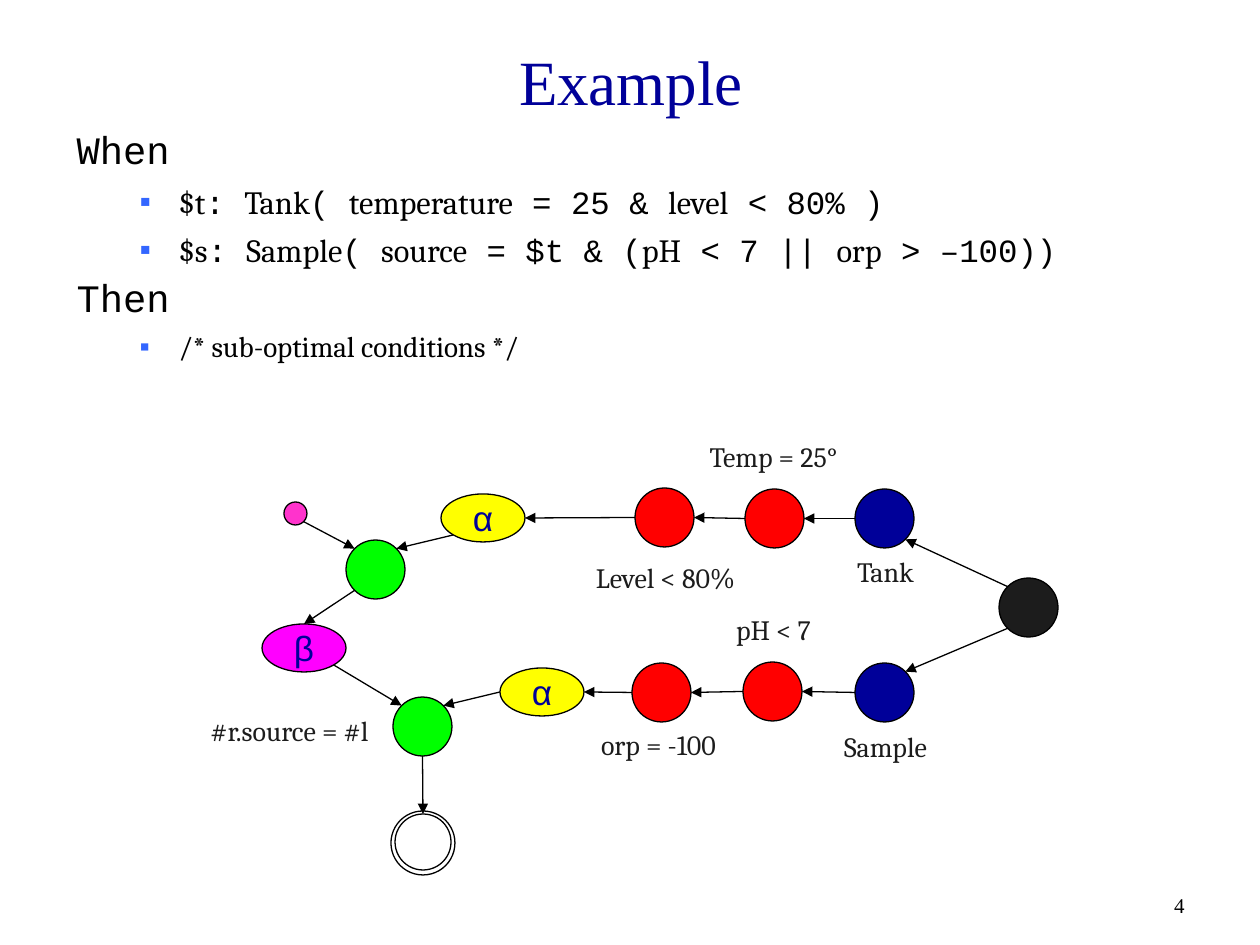
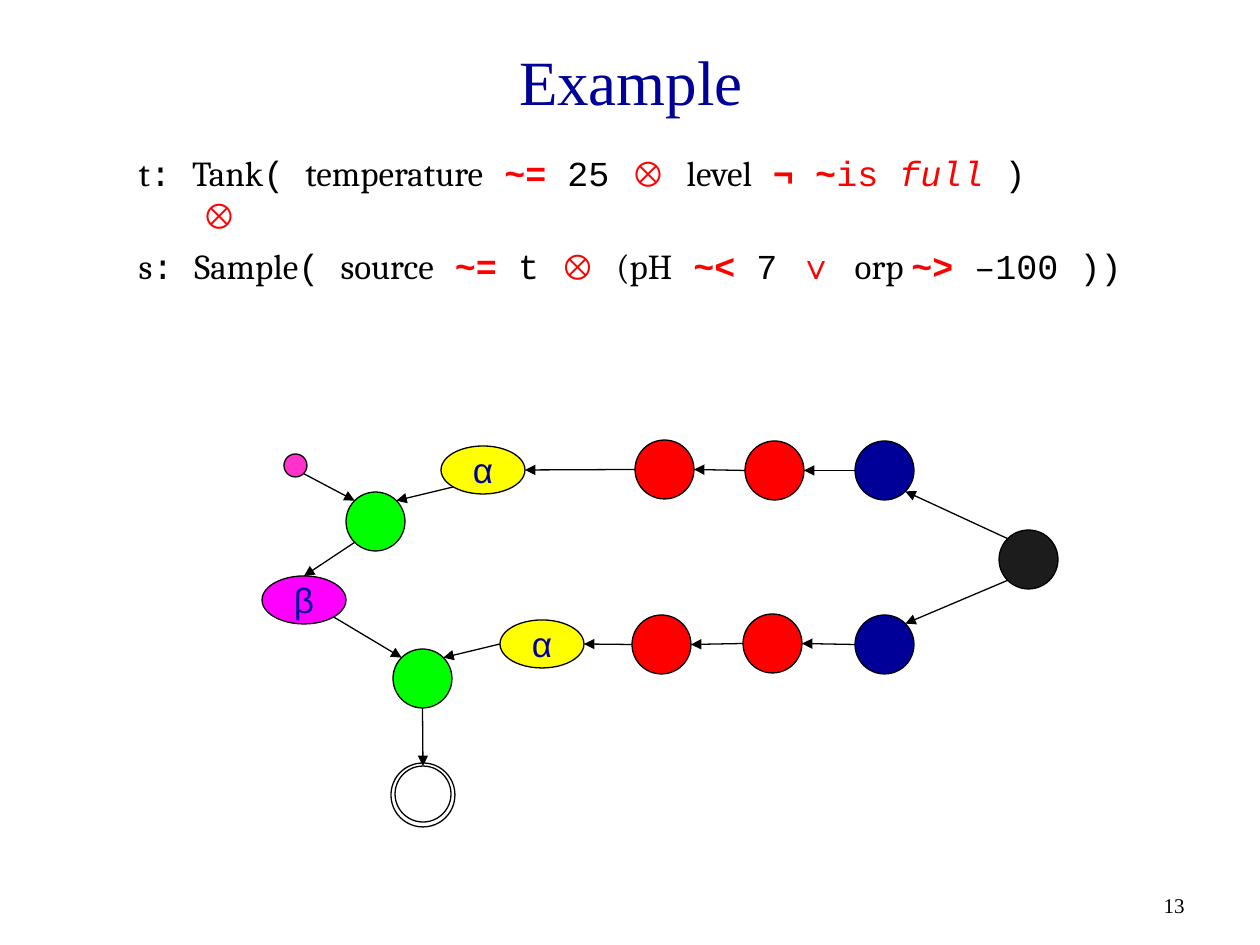
"""Build two slides that show a rule and its node network."""
import math
from dataclasses import dataclass
from typing import Any, NamedTuple, Optional

import pptx
import pptx.dml.color
import pptx.enum.shapes
import pptx.enum.text
import pptx.oxml.ns
import pptx.util
from lxml import etree

SCALE = 914400 / 126
BLACK, DARK, NAVY, RED = "000000", "1C1C1C", "000099", "FF0000"
YELLOW, GREEN, PINK, ROSE, BLUE = "FFFF00", "00FF00", "FF00FF", "FF33CC", "3366FF"
SERIF, SANS, WORD, CODE = "Times New Roman", "Arial", "Cambria", "Courier New"
ALIGN = pptx.enum.text.PP_ALIGN
ANCHOR = pptx.enum.text.MSO_ANCHOR
FORM = pptx.enum.shapes.MSO_SHAPE
TOP, TOP_LEFT, LEFT, LOW_LEFT, BOTTOM, LOW_RIGHT, RIGHT, TOP_RIGHT = range(8)


class Box(NamedTuple):
    """Left, top, width and height in px."""
    left: int
    top: int
    width: int
    height: int


class Run(NamedTuple):
    """A piece of text in one style."""
    text: str
    font: str = WORD
    hue: str = BLACK
    bold: bool = False
    slant: bool = False


class Para(NamedTuple):
    """A paragraph of runs with its spacing and indents."""
    runs: list[Run]
    size: float
    above: float = 0
    align: Any = ALIGN.LEFT
    level: int = 0
    margin: int = 0
    indent: int = 0
    lines: Optional[float] = None
    mark: bool = False


@dataclass(frozen=True)
class Node:
    """An ellipse of the network."""
    box: Box
    fill: Optional[str] = None
    sign: str = ""

    def site(self, turn: int) -> tuple[float, float]:
        """Give the rim point a number of eighth turns left of the top."""
        left, top, width, height = self.box
        angle = turn * math.pi / 4
        return (left + width / 2 * (1 - math.sin(angle)),
                top + height / 2 * (1 - math.cos(angle)))


class Edge(NamedTuple):
    """An arrow between rim points of two nodes."""
    start: str
    leave: int
    end: str
    enter: int


class Label(NamedTuple):
    """A caption of the network."""
    text: str
    box: Box


def disc(left: int, top: int, fill: str) -> Node:
    """Make a round node of the common size."""
    return Node(Box(left, top, 59, 59), fill)


def oval(left: int, top: int, fill: str, sign: str) -> Node:
    """Make a lettered node."""
    return Node(Box(left, top, 84, 48), fill, sign)


NODES = {
    "root": disc(999, 578, DARK),
    "alpha": oval(441, 494, YELLOW, "α"),
    "alpha2": oval(500, 668, YELLOW, "α"),
    "rim": Node(Box(391, 811, 64, 64)),
    "goal": Node(Box(395, 814, 56, 56)),
    "join": disc(346, 540, GREEN),
    "join2": disc(393, 697, GREEN),
    "beta": oval(262, 624, PINK, "β"),
    "tank": disc(855, 489, NAVY),
    "temp": disc(745, 489, RED),
    "level": disc(635, 488, RED),
    "sample": disc(855, 663, NAVY),
    "acid": disc(743, 662, RED),
    "orp": disc(632, 663, RED),
    "start": Node(Box(284, 502, 23, 23), ROSE),
}

EDGES = [
    Edge("root", TOP_LEFT, "tank", TOP_RIGHT + 6),
    Edge("root", LOW_LEFT, "sample", TOP_RIGHT),
    *(Edge(a, LEFT, b, RIGHT) for a, b in (
        ("tank", "temp"), ("temp", "level"), ("level", "alpha"),
        ("sample", "acid"), ("acid", "orp"), ("orp", "alpha2"))),
    Edge("alpha", LOW_LEFT, "join", TOP_RIGHT),
    Edge("alpha2", LEFT, "join2", TOP_RIGHT),
    Edge("start", LOW_RIGHT, "join", TOP_LEFT),
    Edge("join", LOW_LEFT, "beta", TOP),
    Edge("beta", LOW_RIGHT, "join2", TOP_LEFT),
    Edge("join2", BOTTOM, "goal", TOP),
]

LABELS = [
    Label("Tank", Box(806, 548, 159, 47)),
    Label("Temp = 25°", Box(679, 433, 189, 47)),
    Label("Sample", Box(806, 723, 159, 47)),
    Label("Level < 80%", Box(571, 554, 189, 47)),
    Label("pH < 7", Box(679, 606, 189, 47)),
    Label("orp = -100", Box(564, 721, 189, 47)),
    Label("#r.source = #l", Box(183, 707, 213, 47)),
]


def px(count: float) -> int:
    """Turn px into EMU."""
    return round(count * SCALE)


def paint(code: str) -> pptx.dml.color.RGBColor:
    """Turn a hex string into a colour."""
    return pptx.dml.color.RGBColor.from_string(code)


def code(text: str) -> Run:
    """Make a run of code."""
    return Run(text, CODE)


def vague(text: str, font: str = CODE, bold: bool = True, slant: bool = False) -> Run:
    """Make a run for a fuzzy operator."""
    return Run(text, font, RED, bold, slant)


def head(text: str) -> Para:
    """Make a keyword line."""
    return Para([code(text)], 22.2, 6, margin=48, indent=-48, lines=0.9)


def item(runs: list[Run], size: float = 18.5, above: float = 5) -> Para:
    """Make a bulleted line."""
    return Para(runs, size, above, level=1, margin=102, indent=-39, mark=True)


def clause(runs: list[Run]) -> Para:
    """Make a fuzzy rule line."""
    return Para(runs, 20, 5, level=1, margin=126, indent=-63)


def child(parent: Any, tag: str, **attrs: str) -> Any:
    """Add an XML element."""
    return etree.SubElement(parent, pptx.oxml.ns.qn(tag), attrs)


def write(shape: Any, paras: list[Para], anchor: Any = ANCHOR.TOP, wrap: bool = True) -> None:
    """Fill a shape with paragraphs."""
    frame = shape.text_frame
    frame.word_wrap = wrap
    frame.auto_size = pptx.enum.text.MSO_AUTO_SIZE.NONE
    frame.vertical_anchor = anchor
    for place, para in enumerate(paras):
        line = frame.add_paragraph() if place else frame.paragraphs[0]
        line.alignment = para.align
        line.level = para.level
        line.space_before = pptx.util.Pt(para.above)
        if para.lines:
            line.line_spacing = para.lines
        props = line._p.get_or_add_pPr()
        props.set("marL", str(px(para.margin)))
        props.set("indent", str(px(para.indent)))
        if para.mark:
            child(child(props, "a:buClr"), "a:srgbClr", val=BLUE)
            child(props, "a:buFont", typeface=SANS)
            child(props, "a:buChar", char="▪")
        else:
            child(props, "a:buNone")
        for part in para.runs:
            if part.text == "\n":
                line.add_line_break()
                continue
            run = line.add_run()
            run.text = part.text
            font = run.font
            font.name, font.size = part.font, pptx.util.Pt(para.size)
            font.bold, font.italic = part.bold, part.slant
            font.color.rgb = paint(part.hue)


def place(shape: Any, box: Box) -> None:
    """Move a shape to a box."""
    shape.left, shape.top, shape.width, shape.height = map(px, box)


def note(slide: Any, box: Box, para: Para, anchor: Any = ANCHOR.TOP) -> None:
    """Add a text box with one paragraph."""
    write(slide.shapes.add_textbox(*map(px, box)), [para], anchor)


def draw_node(slide: Any, node: Node, shift: int) -> None:
    """Draw an ellipse and its letter."""
    box = node.box._replace(top=node.box.top + shift)
    shape = slide.shapes.add_shape(FORM.OVAL, *map(px, box))
    shape.shadow.inherit = False
    if node.fill:
        shape.fill.solid()
        shape.fill.fore_color.rgb = paint(node.fill)
    else:
        shape.fill.background()
    shape.line.color.rgb = paint(BLACK)
    shape.line.width = pptx.util.Pt(0.75)
    if node.sign:
        para = Para([Run(node.sign, SANS, NAVY)], 20, align=ALIGN.CENTER)
        write(shape, [para], ANCHOR.MIDDLE, False)


def draw_edge(slide: Any, edge: Edge, shift: int) -> None:
    """Draw an arrow between two nodes."""
    left, top = NODES[edge.start].site(edge.leave)
    right, low = NODES[edge.end].site(edge.enter)
    line = slide.shapes.add_connector(
        pptx.enum.shapes.MSO_CONNECTOR.STRAIGHT,
        px(left), px(top + shift), px(right), px(low + shift))
    line.line.color.rgb = paint(BLACK)
    line.line.width = pptx.util.Pt(0.75)
    child(line.line._get_or_add_ln(), "a:tailEnd", type="triangle")
    child(line._element.spPr, "a:effectLst")


def build(deck: Any, page: int, box: Box, paras: list[Para],
          shift: int = 0, labels: Optional[list[Label]] = None) -> None:
    """Add a slide with a rule and its network."""
    slide = deck.slides.add_slide(deck.slide_layouts[1])
    title, body = slide.placeholders
    place(title, Box(64, 35, 1134, 90))
    write(title, [Para([Run("Example", SERIF, NAVY)], 36, align=ALIGN.CENTER)], ANCHOR.MIDDLE)
    place(body, box)
    write(body, paras)
    for node in NODES.values():
        draw_node(slide, node, shift)
    for edge in EDGES:
        draw_edge(slide, edge, shift)
    for label in labels or []:
        note(slide, label.box, Para([Run(label.text, hue=DARK)], 16, 10, ALIGN.CENTER))
    note(slide, Box(903, 861, 294, 63),
         Para([Run(str(page), SERIF)], 12, align=ALIGN.RIGHT), ANCHOR.BOTTOM)


def main() -> None:
    """Build and save the deck."""
    deck = pptx.Presentation()
    deck.slide_width, deck.slide_height = px(1260), px(945)
    build(deck, 4, Box(64, 125, 1134, 302), [
        head("When"),
        item([Run("$t"), code(": "), Run("Tank"), code("( "), Run("temperature"),
              code(" = 25 & "), Run("level"), code(" < 80% )")]),
        item([Run("$s"), code(": "), Run("Sample"), code("( "), Run("source"),
              code(" = $t & ("), Run("pH"), code(" < 7 || "), Run("orp"),
              code(" > –100))")]),
        head("Then"),
        item([Run("/* sub-optimal conditions */")], 16.6, 4.5),
    ], labels=LABELS)
    times = vague("⊗", SANS)
    build(deck, 13, Box(63, 145, 1134, 189), [
        clause([Run("t"), code(": "), Run("Tank"), code("( "), Run("temperature"),
                vague(" ~="), code(" 25 "), times, code(" "), Run("level"),
                vague(" ¬ ~"), vague("is ", bold=False),
                vague("full ", bold=False, slant=True), code(")"), Run("\n"), times]),
        clause([Run("s"), code(": "), Run("Sample"), code("( "), Run("source"),
                vague(" ~="), code(" t "), times, code(" "), Run("(pH"),
                vague(" ~<"), code(" 7 "), vague("∨", SANS), code(" "), Run("orp "),
                vague("~>"), code(" –100 ))")]),
    ], -48)
    deck.save("out.pptx")


if __name__ == "__main__":
    main()
